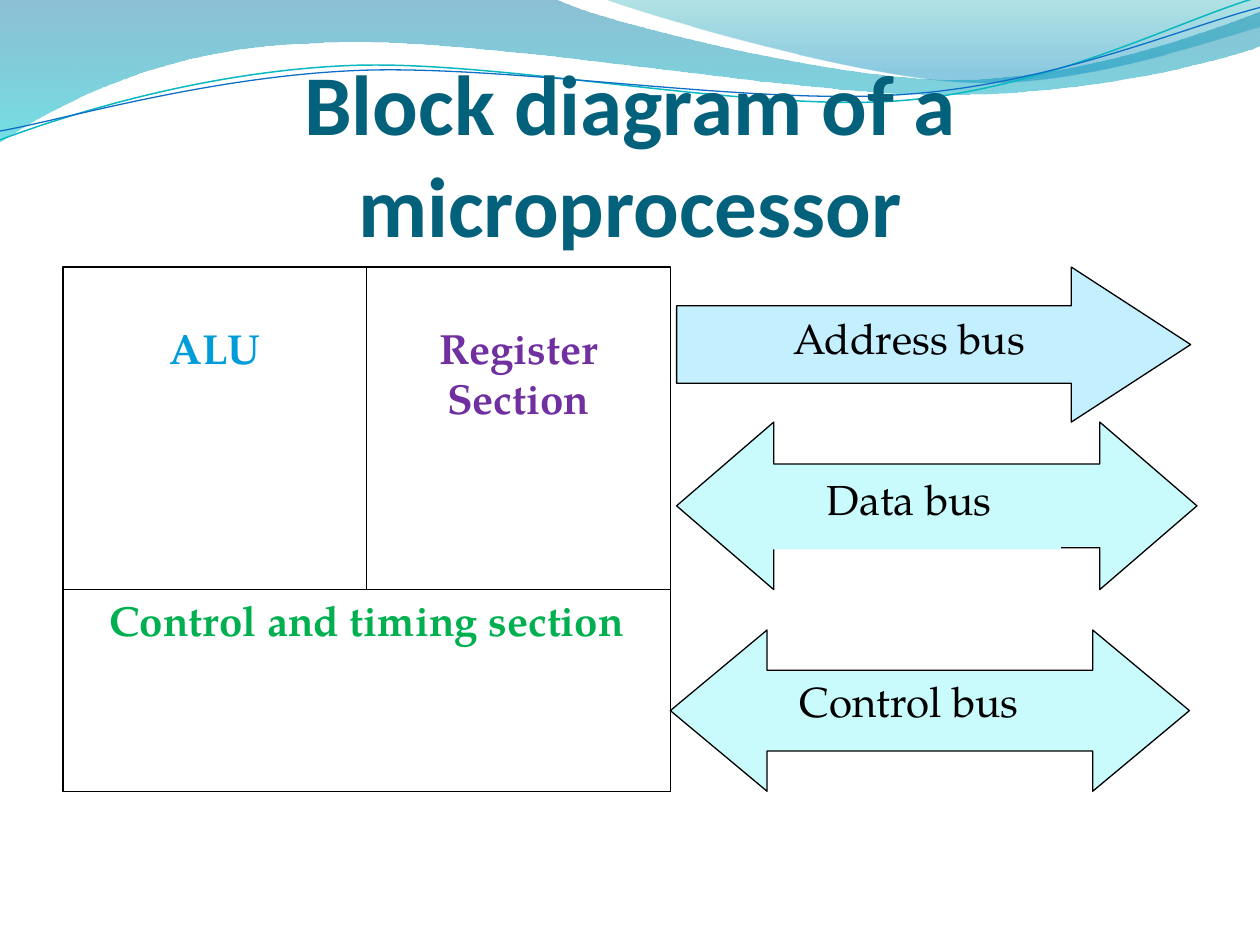
from math import cos, radians, sin
from lxml.etree import SubElement as Sub
from pptx import Presentation
from pptx.dml.color import RGBColor as Rgb
from pptx.enum.shapes import MSO_SHAPE as Kind
from pptx.enum.text import MSO_ANCHOR as Anchor, MSO_AUTO_SIZE as Auto, PP_ALIGN as Align
from pptx.oxml.ns import qn
from pptx.util import Inches, Pt

HUES = {
    "ink": "000000", "paper": "FFFFFF", "title": "04617B",
    "alu": "009DD9", "register": "7030A0", "control": "00B050",
    "address": "C4EFFF", "bus": "C9FAFC",
    "deep": "0074A1", "aqua": "00C6CF", "teal": "00A1A9", "sky": "008BBF",
    "thread": "0AB8BF", "cord": "0F6FC6",
}
WIDE, HIGH = 10, 7.5
LEFT, COL = 0.5, 2.41
TOP, MID, LOW = 2.12, 4.68, 6.28
SERIF = "TeX Gyre Pagella"
TILT = 2.7

BAND = [
    [(0, 0)], [(4.4, -0.01)],
    [(4.76, 0.17), (6.64, 0.63), (7.58, 0.63)],
    [(8.53, 0.63), (9.58, 0.26), (10, 0.09)],
    [(10.01, 0.36)],
    [(9.83, 0.44), (8.7, 0.76), (7.46, 0.75)],
    [(6.22, 0.75), (3.82, 0.28), (2.57, 0.34)],
    [(1.29, 0.36), (0.46, 0.83), (-0.01, 1.13)],
]
CREST = [
    [(4.79, -0.01)],
    [(5.09, 0.11), (6.82, 0.62), (7.69, 0.65)],
    [(8.56, 0.69), (9.61, 0.32), (10, 0.21)],
    [(10, 0)],
]
THREAD = [
    [(0, 1.11)],
    [(0.48, 0.93), (1.58, 0.57), (2.77, 0.52)],
    [(3.95, 0.47), (5.93, 0.89), (7.13, 0.8)],
    [(8.33, 0.71), (9.38, 0.15), (9.98, -0.02)],
]
CORD = [
    [(0, 1.04)],
    [(0.47, 0.96), (1.64, 0.61), (2.83, 0.56)],
    [(4.03, 0.51), (5.97, 0.84), (7.17, 0.75)],
    [(8.36, 0.67), (9.41, 0.21), (10, 0.06)],
]


def hue(name):
    return Rgb.from_string(HUES[name])


def stroke(shape, name, width):
    shape.line.color.rgb = hue(name)
    shape.line.width = Pt(width)


def trace(slide, curve, close):
    dots = [(Inches(x), Inches(y)) for part in curve for x, y in part]
    pen = slide.shapes.build_freeform(*dots[0])
    pen.add_line_segments(dots[1:], close=False)
    shape = pen.convert_to_shape()
    shape.shadow.inherit = False
    lines = iter(list(shape.element.iter(qn("a:lnTo"))))
    for part in curve[1:]:
        first, *rest = [next(lines) for dot in part]
        if rest:
            first.tag = qn("a:cubicBezTo")
        for line in rest:
            first.append(line[0])
            line.getparent().remove(line)
    if close:
        Sub(next(shape.element.iter(qn("a:moveTo"))).getparent(), qn("a:close"))
    return shape


def wave(slide, curve, stops):
    shape = trace(slide, curve, True)
    shape.line.fill.background()
    shape.fill.gradient()
    shape.fill.gradient_angle = 270
    for stop, (place, name, alpha) in zip(shape.fill.gradient_stops, stops):
        stop.position = place
        stop.color.rgb = hue(name)
    tints = shape.element.iter(qn("a:srgbClr"))
    for tint, (place, name, alpha) in zip(tints, stops):
        Sub(tint, qn("a:alpha"), val=str(alpha * 1000))


def turn(dot, hub):
    across, down = dot[0] - hub[0], dot[1] - hub[1]
    c, s = cos(radians(TILT)), sin(radians(TILT))
    return hub[0] + across * c - down * s, hub[1] + across * s + down * c


def thread(slide, curve, hub, name, width):
    level = [[turn(dot, hub) for dot in part] for part in curve]
    shape = trace(slide, level, False)
    shape.rotation = -TILT
    shape.fill.background()
    stroke(shape, name, width)


def write(shape, text, name, bold=False, drop=0.04):
    frame = shape.text_frame
    frame.word_wrap = True
    frame.vertical_anchor = Anchor.TOP
    frame.margin_left = frame.margin_right = Inches(0.09)
    frame.margin_top, frame.margin_bottom = Inches(drop), Inches(0.04)
    para = frame.paragraphs[0]
    para.text = text
    para.alignment = Align.CENTER
    font = para.font
    font.name, font.size, font.bold = SERIF, Pt(24), bold
    font.color.rgb = hue(name)


def block(slide, kind, area, fill, edge=True):
    shape = slide.shapes.add_shape(kind, *map(Inches, area))
    shape.shadow.inherit = False
    shape.fill.solid()
    shape.fill.fore_color.rgb = hue(fill)
    if edge:
        stroke(shape, "ink", 0.75)
    else:
        shape.line.fill.background()
    return shape


def part(slide, col, span, top, end, text, name, drop):
    area = (LEFT + col * COL, top, span * COL, end - top)
    write(block(slide, Kind.RECTANGLE, area, "paper"), text, name, True, drop)


def arrow(slide, kind, area, fill, head):
    shape = block(slide, kind, area, fill)
    shape.adjustments[0], shape.adjustments[1] = 0.5, head


def label(slide, top, text, fill=None):
    area = (6.01, top, COL, 0.64)
    if fill:
        shape = block(slide, Kind.RECTANGLE, area, fill, False)
    else:
        shape = slide.shapes.add_textbox(*map(Inches, area))
    write(shape, text, "ink")


def head(slide, text):
    title = slide.shapes.title
    slide.shapes.element.append(title.element)
    title.left, title.top = Inches(LEFT), Inches(0.77)
    title.width, title.height = Inches(WIDE - 2 * LEFT), Inches(1.25)
    frame = title.text_frame
    frame.auto_size, frame.word_wrap = Auto.NONE, True
    frame.vertical_anchor = Anchor.BOTTOM
    frame.margin_left = frame.margin_right = frame.margin_bottom = 0
    frame.margin_top = Inches(0.05)
    para = frame.paragraphs[0]
    para.text = text
    para.alignment = Align.CENTER
    font = para.font
    font.name, font.size, font.bold = "Calibri", Pt(48.6), True
    font.color.rgb = hue("title")


def main():
    deck = Presentation()
    deck.slide_width, deck.slide_height = Inches(WIDE), Inches(HIGH)
    slide = deck.slides.add_slide(deck.slide_layouts[5])

    wave(slide, BAND, [(0, "deep", 45), (1, "aqua", 55)])
    wave(slide, CREST, [(0, "teal", 30), (0.8, "sky", 45)])
    thread(slide, THREAD, (4.99, 0.58), "thread", 0.85)
    thread(slide, CORD, (5, 0.59), "cord", 0.75)
    head(slide, "Block diagram of a microprocessor")

    part(slide, 0, 1, TOP, MID, "ALU", "alu", 0.44)
    part(slide, 1, 1, TOP, MID, "Register Section", "register", 0.44)
    part(slide, 0, 2, MID, LOW, "Control and timing section", "control", 0.04)

    both = Kind.LEFT_RIGHT_ARROW
    arrow(slide, Kind.RIGHT_ARROW, (5.37, TOP, 4.08, 1.23), "address", 0.77)
    arrow(slide, both, (5.37, 3.35, 4.13, 1.33), "bus", 0.58)
    arrow(slide, both, (LEFT + 2 * COL, 5, 4.12, 1.28), "bus", 0.6)

    label(slide, 2.44, "Address bus")
    label(slide, 3.72, "Data bus", "bus")
    label(slide, 5.32, "Control bus")
    deck.save("out.pptx")


if __name__ == "__main__":
    main()
